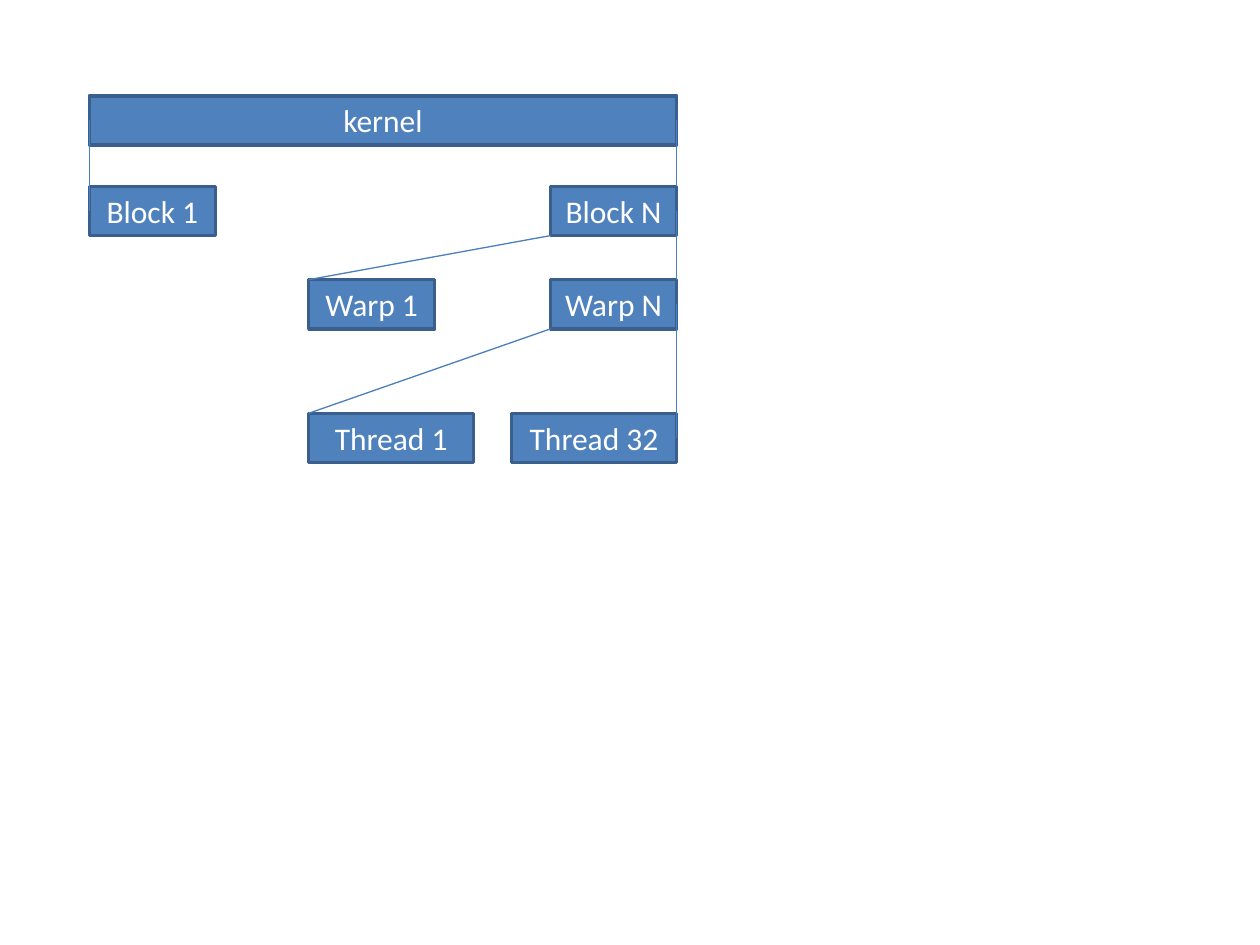
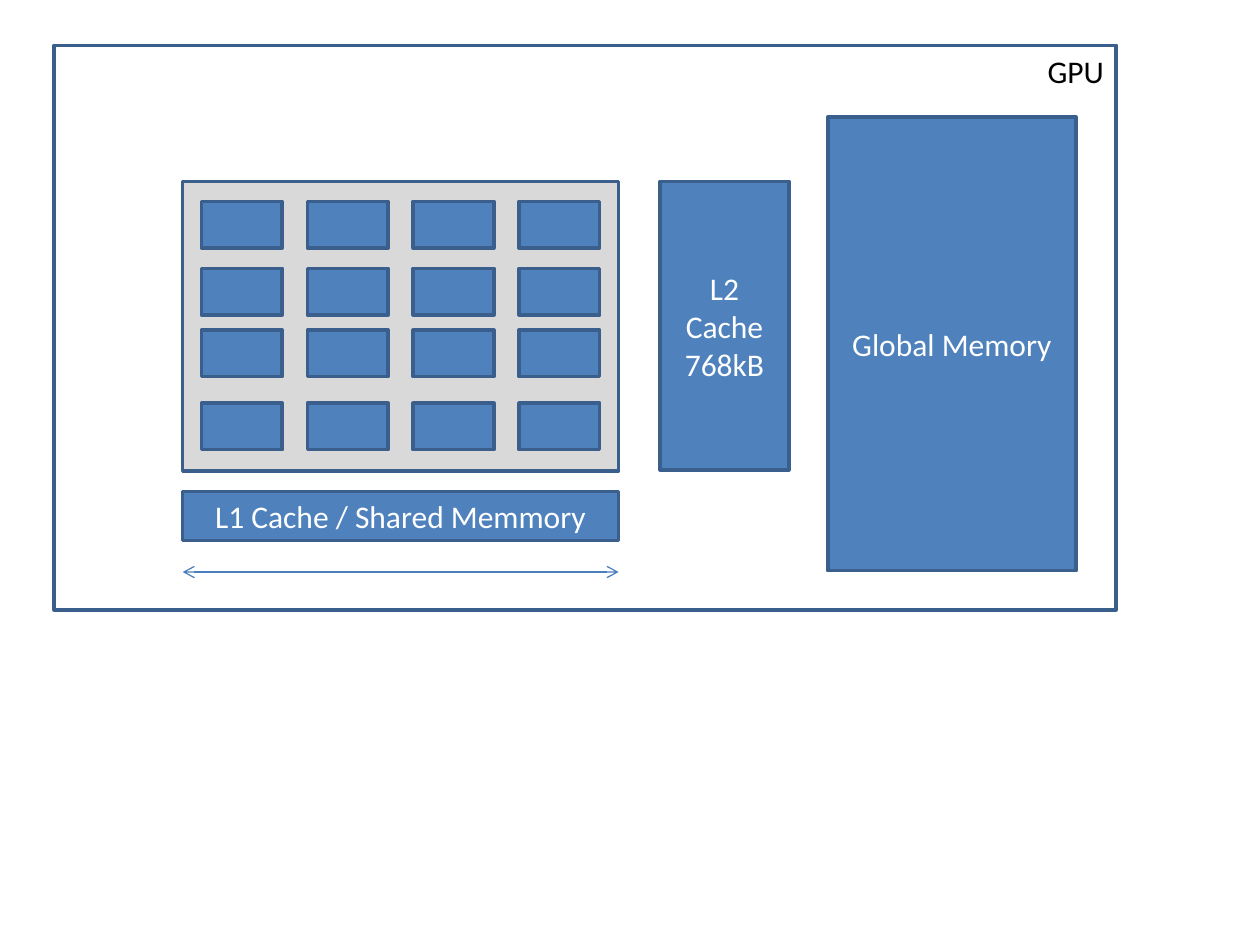
from typing import NamedTuple

from lxml import etree
from pptx import Presentation
from pptx import util as u
from pptx.dml.color import RGBColor
from pptx.enum import shapes, text
from pptx.oxml.ns import qn

PX = 9144  # EMU per px, 100 px to the inch
FONT = "Calibri"
BLUE, OUTLINE, CONNECTOR = "4F81BD", "3A5F8C", "4B7EBC"
GREY, WHITE, BLACK = "D9D9D9", "FFFFFF", "000000"
LEFT, RIGHT = 1, 3  # connection sites of a rectangle


class Box(NamedTuple):
    left: int
    top: int
    width: int
    height: int = 39
    label: str = ""
    fill: str | None = BLUE
    color: str = WHITE
    align: text.PP_ALIGN = text.PP_ALIGN.CENTER
    anchor: text.MSO_ANCHOR = text.MSO_ANCHOR.MIDDLE

    @property
    def right(self) -> int:
        return self.left + self.width

    @property
    def bottom(self) -> int:
        return self.top + self.height


def rgb(color: str) -> RGBColor:
    return RGBColor.from_string(color)


def draw_box(slide, box: Box):
    shape = slide.shapes.add_shape(
        shapes.MSO_SHAPE.RECTANGLE, *(PX * length for length in box[:4]))
    shape.shadow.inherit = False
    shape.line.color.rgb = rgb(OUTLINE)
    shape.line.width = u.Pt(2)
    if box.fill:
        shape.fill.solid()
        shape.fill.fore_color.rgb = rgb(box.fill)
    else:
        shape.fill.background()
    if box.label:
        frame = shape.text_frame
        frame.word_wrap = True
        frame.vertical_anchor = box.anchor
        frame.text = box.label
        for paragraph in frame.paragraphs:
            paragraph.alignment = box.align
            paragraph.font.name = FONT
            paragraph.font.size = u.Pt(18)
            paragraph.font.color.rgb = rgb(box.color)
    return shape


def draw_line(slide, start: tuple[int, int], end: tuple[int, int], arrows: bool = False):
    connector = slide.shapes.add_connector(
        shapes.MSO_CONNECTOR.STRAIGHT, *(PX * length for length in start + end))
    connector.line.color.rgb = rgb(CONNECTOR)
    connector.line.width = u.Pt(0.75)
    properties = connector.element.spPr
    if arrows:
        for tag in ("a:headEnd", "a:tailEnd"):
            etree.SubElement(properties.find(qn("a:ln")), qn(tag), type="arrow")
    etree.SubElement(properties, qn("a:effectLst"))
    return connector


def draw_thread_hierarchy(slide) -> None:
    left, right, inner_left = 71, 537, 245
    block_width, thread_width = 100, 131
    kernel = Box(left, 76, right - left, label="kernel")
    first_block = Box(left, 148, block_width, label="Block 1")
    last_block = Box(right - block_width, 148, block_width, label="Block N")
    first_warp = Box(inner_left, 222, block_width, label="Warp 1")
    last_warp = Box(right - block_width, 222, block_width, label="Warp N")
    first_thread = Box(inner_left, 328, thread_width, label="Thread 1")
    last_thread = Box(right - thread_width, 328, thread_width, label="Thread 32")
    drawn = {box: draw_box(slide, box) for box in (
        kernel, first_block, last_block, first_warp, last_warp,
        first_thread, last_thread)}

    for parent, child, side in ((kernel, first_block, LEFT),
                                (last_warp, last_thread, RIGHT)):
        edge = parent.left if side == LEFT else parent.right
        connector = draw_line(slide, (edge, parent.top), (edge, child.top))
        connector.begin_connect(drawn[parent], side)
        connector.end_connect(drawn[child], side)
    for parent, child in ((kernel, last_block), (last_block, last_warp)):
        connector = draw_line(slide, (right, parent.top), (right, child.top))
        connector.begin_connect(drawn[parent], RIGHT)
    for parent, child in ((last_block, first_warp), (last_warp, first_thread)):
        draw_line(slide, (parent.left, parent.bottom), (child.left, child.top))


def draw_gpu_memory(slide) -> None:
    gpu = Box(43, 36, 843, 448, "GPU", None, BLACK,
              text.PP_ALIGN.RIGHT, text.MSO_ANCHOR.TOP)
    multiprocessor = Box(145, 144, 346, 230, fill=GREY)
    l1_cache = Box(multiprocessor.left, 390, multiprocessor.width,
                   label="L1 Cache / Shared Memmory")
    global_memory = Box(657, 93, 197, 360, "Global Memory")
    l2_cache = Box(524, multiprocessor.top, 102, 229, "L2 Cache\n768kB")
    cores = [Box(160 + 84 * column, top, 64, 37)
             for top in (160, 213, 262, 320) for column in range(4)]
    for box in (gpu, multiprocessor, l1_cache, global_memory, l2_cache, *cores):
        draw_box(slide, box)
    draw_line(slide, (l1_cache.left, 454), (l1_cache.right, 454), arrows=True)


def main() -> None:
    presentation = Presentation()
    presentation.slide_width = 1000 * PX
    presentation.slide_height = 750 * PX
    blank = presentation.slide_layouts[6]
    for draw in (draw_thread_hierarchy, draw_gpu_memory):
        draw(presentation.slides.add_slide(blank))
    presentation.save("out.pptx")


if __name__ == "__main__":
    main()
